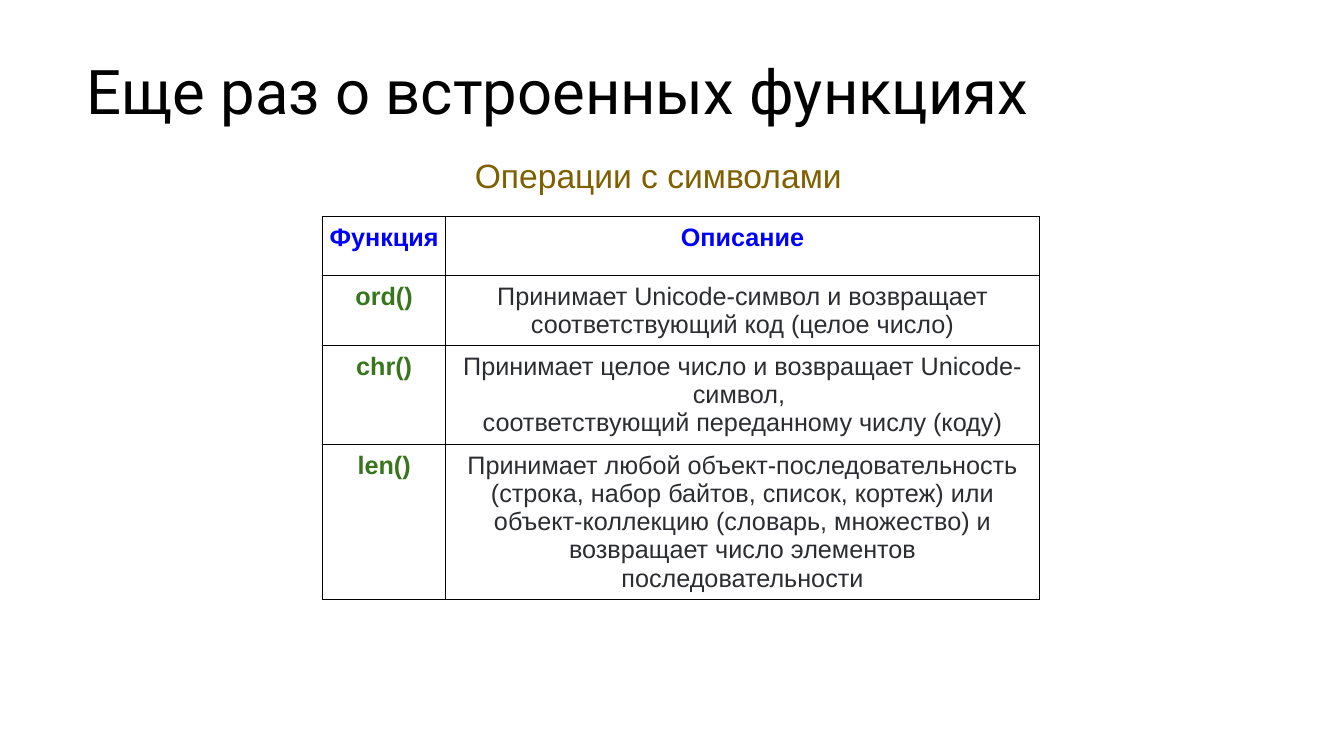
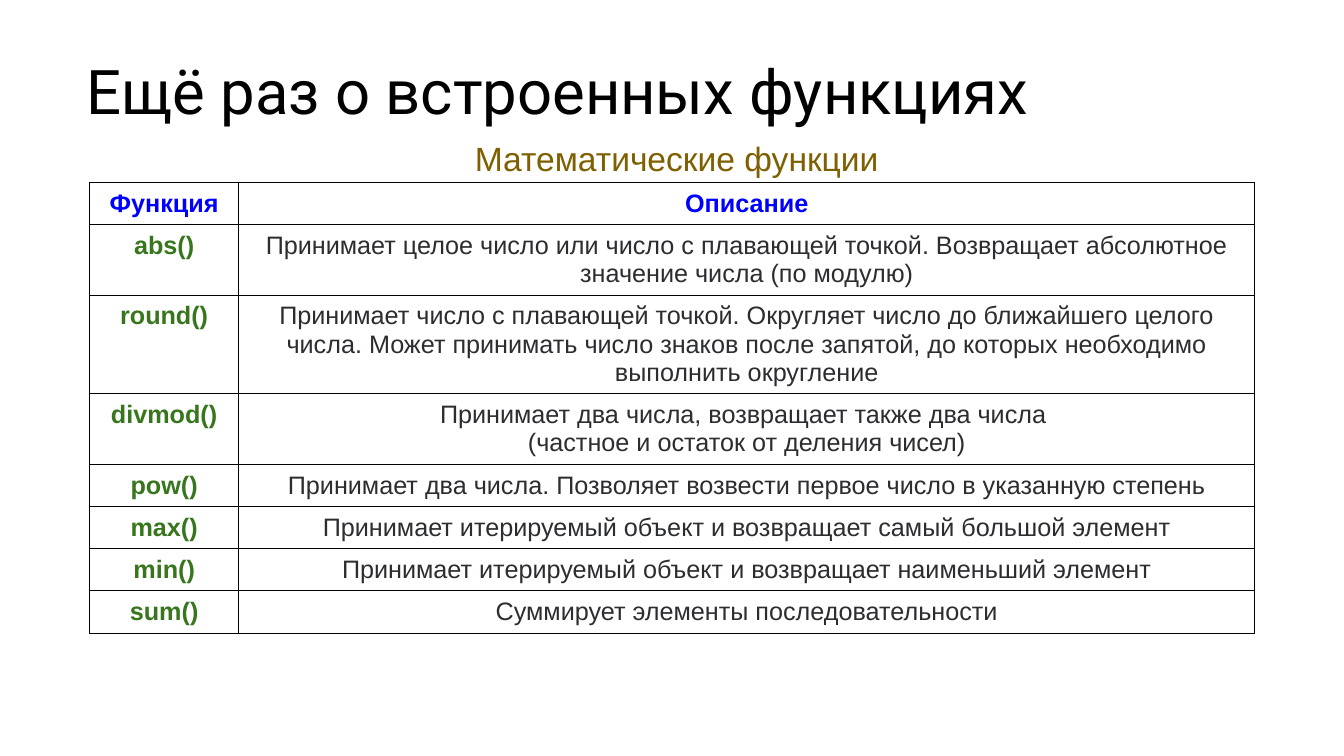
from lxml.etree import SubElement
from pptx import Presentation
from pptx.dml.color import RGBColor
from pptx.enum.text import MSO_ANCHOR, MSO_AUTO_SIZE, PP_ALIGN
from pptx.oxml.ns import qn
from pptx.util import Pt

# Shared style
BLACK, OCHRE, BLUE, GREEN, GRAY = "000000", "7F6000", "0000FF", "38761D", "2C2D30"
TITLE_FONT, TEXT_FONT = "Roboto", "Arial"
CELL_MARGIN, LINE_HEIGHT = 5, 20
HEADER = ("Функция", "Описание", 1)

# Rows: function, description, number of text lines
SYMBOL_ROWS = [
    ("ord()", "Принимает Unicode-символ и возвращает соответствующий код (целое число)", 2),
    ("chr()", "Принимает целое число и возвращает Unicode-символ, \n"
              "соответствующий переданному числу (коду)", 3),
    ("len()", "Принимает любой объект-последовательность (строка, набор байтов, "
              "список, кортеж) или объект-коллекцию (словарь, множество) и возвращает "
              "число элементов последовательности", 5),
]
MATH_ROWS = [
    ("abs()", "Принимает целое число или число с плавающей точкой. "
              "Возвращает абсолютное значение числа (по модулю)", 2),
    ("round()", "Принимает число с плавающей точкой. Округляет число до ближайшего "
                "целого числа. Может принимать число знаков после запятой, "
                "до которых необходимо выполнить округление", 3),
    ("divmod()", "Принимает два числа, возвращает также два числа \n"
                 "(частное и остаток от деления чисел)", 2),
    ("pow()", "Принимает два числа. Позволяет возвести первое число в указанную степень", 1),
    ("max()", "Принимает итерируемый объект и возвращает самый большой элемент", 1),
    ("min()", "Принимает итерируемый объект и возвращает наименьший элемент", 1),
    ("sum()", "Суммирует элементы последовательности", 1),
]


def rgb(color):
    return RGBColor.from_string(color)


def format_text(tf, font, size, color, bold=False, align=PP_ALIGN.LEFT):
    for p in tf.paragraphs:
        p.alignment = align
        for r in p.runs:
            r.font.name, r.font.size, r.font.bold = font, Pt(size), bold
            r.font.color.rgb = rgb(color)


def fill_placeholder(sp, text, box, font, size, color):
    sp.left, sp.top, sp.width, sp.height = (Pt(v) for v in box)
    tf = sp.text_frame
    tf.text = text
    tf.word_wrap = True
    tf.auto_size = MSO_AUTO_SIZE.NONE
    tf.vertical_anchor = MSO_ANCHOR.BOTTOM
    format_text(tf, font, size, color)
    for p in tf.paragraphs:
        p.line_spacing = 0.9
        p.space_before = Pt(0)


def add_borders(cell, color=BLACK, width=1):
    tcPr = cell._tc.get_or_add_tcPr()
    for side in ("a:lnL", "a:lnR", "a:lnT", "a:lnB"):
        ln = SubElement(tcPr, qn(side), w=str(Pt(width)))
        SubElement(SubElement(ln, qn("a:solidFill")), qn("a:srgbClr"), val=color)


def fill_cell(cell, text, color, bold):
    cell.margin_left = cell.margin_right = Pt(CELL_MARGIN)
    cell.margin_top = cell.margin_bottom = Pt(CELL_MARGIN)
    cell.text_frame.text = text
    format_text(cell.text_frame, TEXT_FONT, 18, color, bold, PP_ALIGN.CENTER)
    add_borders(cell)
    cell.fill.background()


def add_function_table(s, rows, left, top, widths, header_height):
    heights = [header_height] + [2 * CELL_MARGIN + LINE_HEIGHT * n for _, _, n in rows]
    table = s.shapes.add_table(len(heights), len(widths), Pt(left), Pt(top),
                               Pt(sum(widths)), Pt(sum(heights))).table
    table.first_row = table.horz_banding = False
    for column, width in zip(table.columns, widths):
        column.width = Pt(width)
    for row, height in zip(table.rows, heights):
        row.height = Pt(height)
    for i, (name, description, _) in enumerate([HEADER] + rows):
        name_color, text_color = (GREEN, GRAY) if i else (BLUE, BLUE)
        fill_cell(table.cell(i, 0), name, name_color, True)
        fill_cell(table.cell(i, 1), description, text_color, i == 0)


def add_function_slide(prs, title, subtitle, subtitle_top, subtitle_width):
    s = prs.slides.add_slide(prs.slide_layouts[0])
    fill_placeholder(s.shapes.title, title, (54.7, 33, 851, 62), TITLE_FONT, 44, BLACK)
    fill_placeholder(s.placeholders[1], subtitle,
                     (332, subtitle_top, subtitle_width, 23), TEXT_FONT, 24, OCHRE)
    return s


def main():
    prs = Presentation()
    prs.slide_width, prs.slide_height = Pt(960), Pt(540)

    # Character operations
    s = add_function_slide(prs, "Еще раз о встроенных функциях",
                           "Операции с символами", 120.2, 284.4)
    add_function_table(s, SYMBOL_ROWS, 230.4, 154.8, (88, 424), 41.8)

    # Mathematical functions
    s = add_function_slide(prs, "Ещё раз о встроенных функциях",
                           "Математические функции", 108, 313.2)
    add_function_table(s, MATH_ROWS, 64, 130.3, (106.5, 725.8), 30)

    prs.save("out.pptx")


main()
